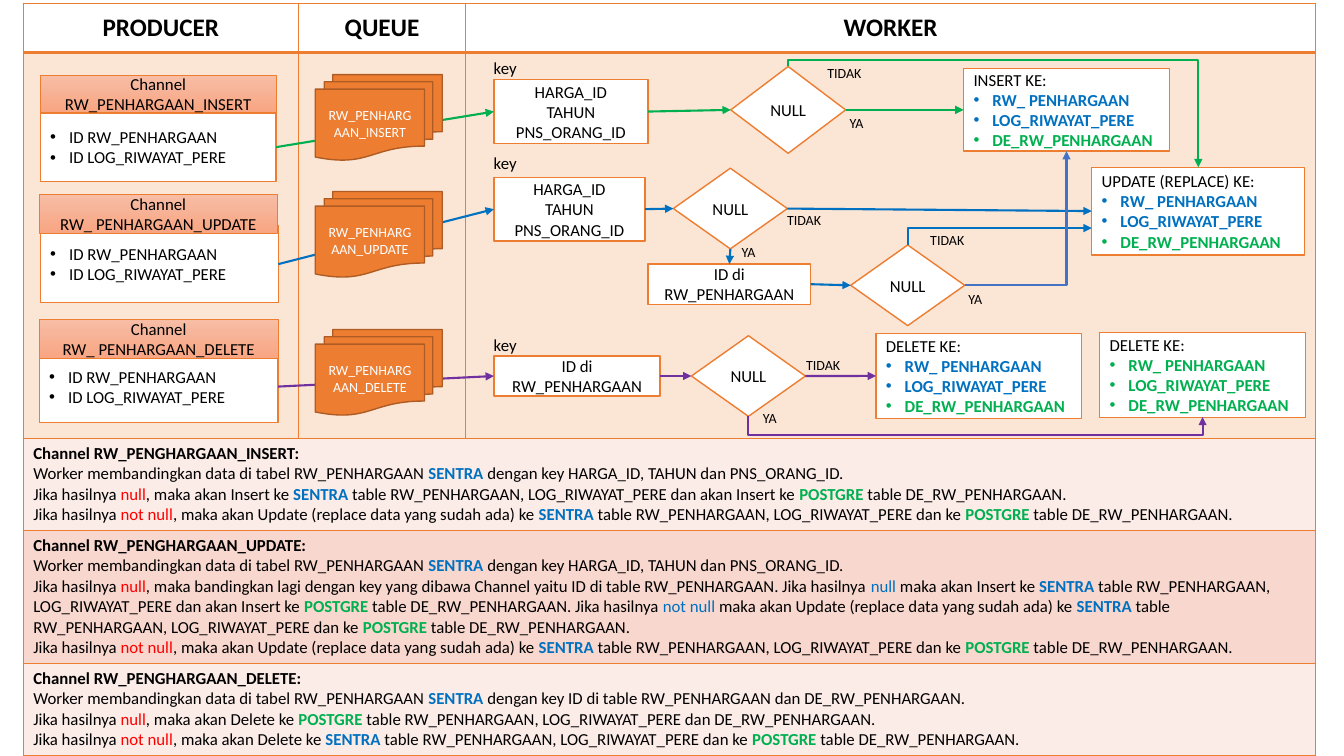
from dataclasses import dataclass

from lxml.etree import SubElement
from pptx import Presentation
from pptx.dml.color import RGBColor
from pptx.enum.shapes import MSO_CONNECTOR as LINK, MSO_SHAPE as SHAPE
from pptx.enum.text import MSO_ANCHOR as ANCHOR, MSO_AUTO_SIZE as FIT, PP_ALIGN as ALIGN
from pptx.oxml.ns import qn
from pptx.util import Pt


@dataclass(frozen=True)
class Theme:
    """Colours, font and type sizes of the slide."""
    font: str = "Calibri"
    heading: int = 18
    body: int = 12
    small: int = 10
    black: str = "000000"
    white: str = "FFFFFF"
    orange: str = "ED7D31"
    brown: str = "AF5C24"
    red: str = "FF0000"
    blue: str = "0070C0"
    green: str = "00B050"
    purple: str = "7030A0"
    steel: str = "4472C4"
    head_top: str = "F7BDA5"
    head_bottom: str = "F8A582"
    pale: str = "FCECE8"
    rose: str = "F8D7CE"


THEME = Theme()
TOP, LEFT, BOTTOM, RIGHT = range(4)
MARKS = {"*": (THEME.black, True), "!": (THEME.red, False), "~": (THEME.blue, False),
         "@": (THEME.blue, True), "#": (THEME.green, True)}

COMPARE = "Worker membandingkan data di tabel RW_PENHARGAAN |@SENTRA |dengan key "
THREE_KEYS = COMPARE + "HARGA_ID, TAHUN dan PNS_ORANG_ID."
BOTH = ("|@SENTRA |table RW_PENHARGAAN, LOG_RIWAYAT_PERE dan {}ke "
        "|#POSTGRE| table DE_RW_PENHARGAAN.")
INSERT = "maka akan Insert ke " + BOTH.format("akan Insert ")
UPDATE = "maka akan Update (replace data yang sudah ada) ke " + BOTH.format("")
NULL, NOT_NULL = "Jika hasilnya |!null|, ", "Jika hasilnya |!not null|, "
NOTES = [
    ["*Channel RW_PENGHARGAAN_INSERT:", THREE_KEYS, NULL + INSERT, NOT_NULL + UPDATE],
    ["*Channel RW_PENGHARGAAN_UPDATE:", THREE_KEYS,
     NULL + "maka bandingkan lagi dengan key yang dibawa Channel yaitu ID di table "
     "RW_PENHARGAAN. Jika hasilnya |~null |" + INSERT + " Jika hasilnya |~not null |" + UPDATE,
     NOT_NULL + UPDATE],
    ["*Channel RW_PENGHARGAAN_DELETE:",
     COMPARE + "ID di table RW_PENHARGAAN dan DE_RW_PENHARGAAN.",
     NULL + "maka akan Delete ke |#POSTGRE |table RW_PENHARGAAN, LOG_RIWAYAT_PERE "
     "dan DE_RW_PENHARGAAN.",
     NOT_NULL + "maka akan Delete ke " + BOTH.format("")],
]
TARGETS = ["• |@RW_ PENHARGAAN", "• |@LOG_RIWAYAT_PERE", "• |#DE_RW_PENHARGAAN"]
KEYS = ["HARGA_ID", "TAHUN", "PNS_ORANG_ID"]
RECORD = ["ID di", "RW_PENHARGAAN"]


def rgb(colour):
    """Turn a hex string into a colour."""
    return RGBColor.from_string(colour)


def add_bullet(para):
    """Give a paragraph a hanging bullet."""
    props = para._p.get_or_add_pPr()
    props.set("marL", str(Pt(13.5)))
    props.set("indent", str(-Pt(13.5)))
    SubElement(props, qn("a:buFont"), typeface="Arial")
    SubElement(props, qn("a:buChar"), char="•")


def write(frame, lines, size=THEME.body, align=ALIGN.LEFT, ink=THEME.black):
    """Write marked-up lines, one paragraph each."""
    for index, line in enumerate(lines):
        para = frame.add_paragraph() if index else frame.paragraphs[0]
        para.alignment = align
        if line.startswith("• "):
            add_bullet(para)
            line = line[2:]
        for piece in filter(None, line.split("|")):
            colour, bold = MARKS.get(piece[0], (ink, False))
            span = para.add_run()
            span.text = piece[1:] if piece[0] in MARKS else piece
            span.font.name, span.font.size = THEME.font, Pt(size)
            span.font.bold, span.font.color.rgb = bold, rgb(colour)


def add_node(page, kind, place, lines, align=ALIGN.CENTER, fill=THEME.white,
             edge=THEME.orange, size=THEME.body, ink=THEME.black):
    """Add a filled, outlined shape with text."""
    node = page.shapes.add_shape(kind, *map(Pt, place))
    node.shadow.inherit = False
    node.fill.solid()
    node.fill.fore_color.rgb = rgb(fill)
    node.line.color.rgb, node.line.width = rgb(edge), Pt(1)
    node.text_frame.word_wrap = True
    node.text_frame.vertical_anchor = ANCHOR.MIDDLE
    write(node.text_frame, lines, size, align, ink)
    return node


def add_channel(page, head, body, lines):
    """Add a producer channel and return its body."""
    box = add_node(page, SHAPE.RECTANGLE, body,
                   ["• ID RW_PENHARGAAN", "• ID LOG_RIWAYAT_PERE"], ALIGN.LEFT)
    title = add_node(page, SHAPE.RECTANGLE, head, lines)
    title.line.width = Pt(0.5)
    title.fill.gradient()
    title.fill.gradient_angle = 270
    for stop, colour in zip(title.fill.gradient_stops, (THEME.head_top, THEME.head_bottom)):
        stop.color.rgb = rgb(colour)
    return box


def add_label(page, left, top, width, text, size=THEME.small, wrap=True):
    """Add a small free label."""
    box = page.shapes.add_textbox(Pt(left), Pt(top), Pt(width), Pt(size + 9.4))
    box.text_frame.word_wrap = wrap
    box.text_frame.auto_size = FIT.SHAPE_TO_FIT_TEXT
    write(box.text_frame, [text], size)


def style_arrow(arrow, colour):
    """Colour a connector and give it an arrowhead."""
    arrow.line.color.rgb, arrow.line.width = rgb(colour), Pt(1.5)
    SubElement(arrow.line._get_or_add_ln(), qn("a:tailEnd"), type="triangle")
    SubElement(arrow._element.spPr, qn("a:effectLst"))


def join(page, start, end, colour, leave=RIGHT, enter=LEFT):
    """Join two shapes with a straight arrow."""
    arrow = page.shapes.add_connector(LINK.STRAIGHT, 0, 0, 0, 0)
    arrow.begin_connect(start, leave)
    arrow.end_connect(end, enter)
    style_arrow(arrow, colour)


def add_elbow(page, start, end, colour, turn, flips, bend=None):
    """Add a bent arrow; bend is the run before its first corner."""
    across, down = abs(end[0] - start[0]), abs(end[1] - start[1])
    wide, high = (down, across) if turn else (across, down)
    left, top = (start[0] + end[0] - wide) / 2, (start[1] + end[1] - high) / 2
    arrow = page.shapes.add_connector(
        LINK.ELBOW, *map(Pt, (left, top, left + wide, top + high)))
    style_arrow(arrow, colour)
    props = arrow._element.spPr
    xfrm, shape = props.find(qn("a:xfrm")), props.find(qn("a:prstGeom"))
    xfrm.set("rot", str(turn * 60000))
    for flip in flips:
        xfrm.set("flip" + flip, "1")
    if bend is None:
        shape.set("prst", "bentConnector2")
    else:
        guides = shape.get_or_add_avLst()
        SubElement(guides, qn("a:gd"), name="adj1", fmla=f"val {round(bend / wide * 100000)}")


def style_cell(cell, borders, fill=None, alpha=None):
    """Set the borders and the fill of a cell."""
    props = cell._tc.get_or_add_tcPr()
    for side, width in borders.items():
        line = SubElement(props, qn("a:ln" + side), w=str(Pt(width)))
        SubElement(SubElement(line, qn("a:solidFill")), qn("a:srgbClr"), val=THEME.orange)
    if fill is None:
        cell.fill.background()
        return
    cell.fill.solid()
    cell.fill.fore_color.rgb = rgb(fill)
    if alpha:
        SubElement(props.find(qn("a:solidFill"))[0], qn("a:alpha"), val=str(alpha * 1000))


def add_grid(page, top, widths, heights):
    """Add a plain table of the given columns and rows."""
    table = page.shapes.add_table(len(heights), len(widths), Pt(16.6), Pt(top),
                                  Pt(sum(widths)), Pt(sum(heights))).table
    table.first_row = table.horz_banding = False
    for column, width in zip(table.columns, widths):
        column.width = Pt(width)
    for row, height in zip(table.rows, heights):
        row.height = Pt(height)
    return table


def add_tables(page):
    """Add the lanes and the notes below them."""
    lanes = add_grid(page, 2.2, [196.6, 119.5, 607], [35.3, 275.8])
    for column, name in enumerate(["PRODUCER", "QUEUE", "WORKER"]):
        head = lanes.cell(0, column)
        style_cell(head, {"L": 1, "R": 1, "T": 1, "B": 2})
        head.vertical_anchor = ANCHOR.MIDDLE
        write(head.text_frame, ["*" + name], THEME.heading, ALIGN.CENTER)
        style_cell(lanes.cell(1, column), {"L": 1, "R": 1, "B": 1}, THEME.orange, 20)
    notes = add_grid(page, 313.2, [923.1], [65, 93.6, 65])
    for row, lines in enumerate(NOTES):
        cell = notes.cell(row, 0)
        style_cell(cell, dict.fromkeys("LRTB", 1), THEME.rose if row % 2 else THEME.pale)
        write(cell.text_frame, lines)


def main():
    """Build the slide and save it."""
    deck = Presentation()
    deck.slide_width, deck.slide_height = Pt(960), Pt(540)
    page = deck.slides.add_slide(deck.slide_layouts[6])
    add_tables(page)

    channels = [
        add_channel(page, (28.8, 54, 168.5, 26), (28.8, 80.6, 168.5, 49),
                    ["Channel RW_PENHARGAAN_INSERT"]),
        add_channel(page, (28.1, 139, 170, 27.4), (28.8, 161.3, 170, 54.7),
                    ["Channel", "RW_ PENHARGAAN_UPDATE"]),
        add_channel(page, (28.1, 228.2, 170.6, 28.1), (28.1, 250.6, 170.6, 51.1),
                    ["Channel", "RW_ PENHARGAAN_DELETE"])]
    keys = [add_node(page, SHAPE.RECTANGLE, (352.8, *place), lines) for place, lines in (
        ((57, 110, 45.4), KEYS), ((126.7, 108, 45.4), KEYS), ((254.2, 118.8, 28.8), RECORD))]
    record = add_node(page, SHAPE.RECTANGLE, (463, 188.6, 116, 28.8), RECORD)
    tests = [add_node(page, SHAPE.DIAMOND, place, ["NULL"]) for place in (
        (522, 47.5, 82, 62), (481, 120.2, 81.4, 57.6),
        (493.9, 239.8, 81.4, 57.6), (607.7, 175, 81.4, 57.6))]
    inserted, updated, deleted, _ = [
        add_node(page, SHAPE.RECTANGLE, place, [title, *lines], ALIGN.LEFT)
        for place, title, lines in (
            ((688.3, 49, 147, 59), "INSERT KE:", TARGETS),
            ((779.8, 119.5, 152, 62.6), "UPDATE (REPLACE) KE:", TARGETS),
            ((625.7, 238.3, 147, 60.5), "DELETE KE:", TARGETS),
            ((785.5, 237.6, 147, 60.5), "DELETE KE:", [t.replace("@", "#") for t in TARGETS]))]

    colours = (THEME.green, THEME.blue, THEME.purple)
    results = (inserted, updated, deleted)
    for channel, key, test, result, colour in zip(channels, keys, tests, results, colours):
        join(page, channel, key, colour)
        join(page, key, test, colour)
        join(page, test, result, colour)
    join(page, tests[1], record, THEME.blue, BOTTOM, TOP)
    join(page, record, tests[3], THEME.blue)
    add_elbow(page, (563, 47.5), (856, 119.5), THEME.green, 270, "H", -4.4)
    add_elbow(page, (648.4, 175), (779.8, 162.9), THEME.blue, 90, "HV")
    add_elbow(page, (534.6, 297.4), (859, 297.8), THEME.purple, 270, "H", 13.7)
    add_elbow(page, (689.1, 203.8), (761.8, 108), THEME.steel, 0, "V")

    for top, action in ((53.3, "INSERT"), (136.8, "UPDATE"), (235.4, "DELETE")):
        add_node(page, SHAPE.FLOWCHART_MULTIDOCUMENT, (225.2, top, 90.7, 61.2),
                 ["RW_PENHARGAAN_" + action], fill=THEME.orange, edge=THEME.brown,
                 size=THEME.small, ink=THEME.white)
    for top in (37.4, 105.8, 235.4):
        add_label(page, 345.6, top, 31, "key", THEME.body, wrap=False)
    for left, top in ((599.8, 78.5), (522.7, 170.6), (684.7, 203.8), (537.8, 288.7)):
        add_label(page, left, top, 26.6, "YA")
    for left, top in ((583.9, 42.5), (555.1, 147.6), (657.4, 162), (568.8, 251.3)):
        add_label(page, left, top, 48.2, "TIDAK")
    deck.save("out.pptx")


if __name__ == "__main__":
    main()
